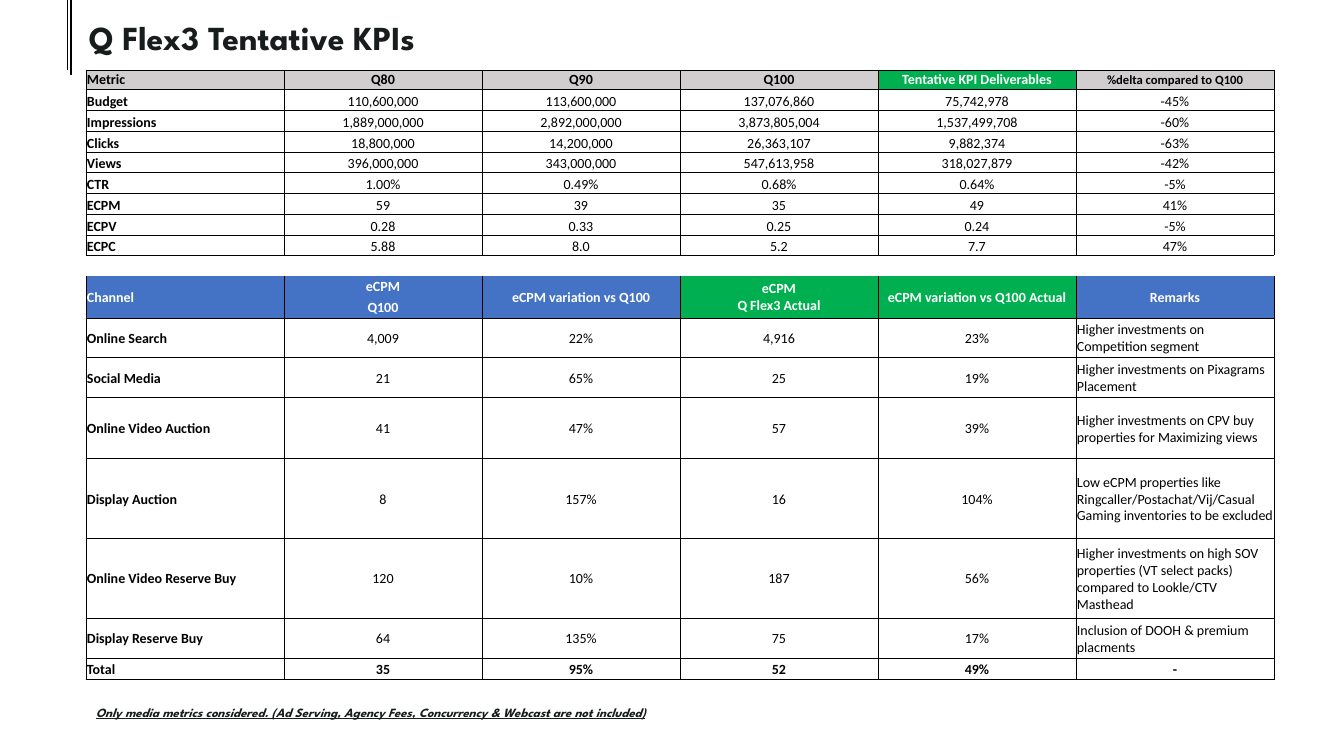
import pptx
import pptx.util
import pptx.dml.color
import pptx.enum.shapes
import pptx.enum.text
import pptx.oxml.ns
from lxml import etree

PX = 914400 / 100.8
BLACK = pptx.dml.color.RGBColor(0x00, 0x00, 0x00)
WHITE = pptx.dml.color.RGBColor(0xFF, 0xFF, 0xFF)
INK = pptx.dml.color.RGBColor(0x19, 0x1C, 0x1C)
GREY = pptx.dml.color.RGBColor(0xD0, 0xCE, 0xCE)
GREEN = pptx.dml.color.RGBColor(0x00, 0xB0, 0x50)
BLUE = pptx.dml.color.RGBColor(0x44, 0x72, 0xC4)

KPI_ROWS = [
    ["Metric", "Q80", "Q90", "Q100", "Tentative KPI Deliverables", "%delta compared to Q100"],
    ["Budget", "110,600,000", "113,600,000", "137,076,860", "75,742,978", "-45%"],
    ["Impressions", "1,889,000,000", "2,892,000,000", "3,873,805,004", "1,537,499,708", "-60%"],
    ["Clicks", "18,800,000", "14,200,000", "26,363,107", "9,882,374", "-63%"],
    ["Views", "396,000,000", "343,000,000", "547,613,958", "318,027,879", "-42%"],
    ["CTR", "1.00%", "0.49%", "0.68%", "0.64%", "-5%"],
    ["ECPM", "59", "39", "35", "49", "41%"],
    ["ECPV", "0.28", "0.33", "0.25", "0.24", "-5%"],
    ["ECPC", "5.88", "8.0", "5.2", "7.7", "47%"],
]
CHANNEL_ROWS = [
    ["Channel", "eCPM", "eCPM variation vs Q100", "eCPM\nQ Flex3 Actual",
     "eCPM variation vs Q100 Actual", "Remarks"],
    ["", "Q100", "", "", "", ""],
    ["Online Search", "4,009", "22%", "4,916", "23%",
     "Higher investments on Competition segment"],
    ["Social Media", "21", "65%", "25", "19%",
     "Higher investments on Pixagrams Placement"],
    ["Online Video Auction", "41", "47%", "57", "39%",
     "Higher investments on CPV buy properties for Maximizing views"],
    ["Display Auction", "8", "157%", "16", "104%",
     "Low eCPM properties like Ringcaller/Postachat/Vij/Casual "
     "Gaming inventories to be excluded"],
    ["Online Video Reserve Buy", "120", "10%", "187", "56%",
     "Higher investments on high SOV properties (VT select packs) "
     "compared to Lookle/CTV Masthead"],
    ["Display Reserve Buy", "64", "135%", "75", "17%",
     "Inclusion of DOOH & premium placments"],
    ["Total", "35", "95%", "52", "49%", "-"],
]
rows = KPI_ROWS + [[""] * 6] + CHANNEL_ROWS
SPACER = len(KPI_ROWS)
HEADER = SPACER + 1
TOTAL = len(rows) - 1
ROW_HEIGHTS = [19, 21, 21, 21, 20, 21, 21, 21, 20, 21, 21, 21, 40, 40, 61, 80, 80, 40, 21]
COLUMN_WIDTH = 198


def px(value):
    return pptx.util.Emu(round(value * PX))


def write(paragraph, text, font_name, size, color, bold):
    for index, line in enumerate(text.split("\n")):
        if index:
            paragraph.add_line_break()
        run = paragraph.add_run()
        run.text = line
        run.font.name = font_name
        run.font.size = pptx.util.Pt(size)
        run.font.color.rgb = color
        run.font.bold = bold


presentation = pptx.Presentation()
presentation.slide_width = px(1344)
presentation.slide_height = px(756)
slide = presentation.slides.add_slide(presentation.slide_layouts[6])

# Title and footnote
for text, left, top, width, height, size in [
    ("Q Flex3 Tentative KPIs", 79, 12, 1206, 138, 24),
    ("Only media metrics considered. (Ad Serving, Agency Fees, "
     "Concurrency & Webcast are not included)", 86, 700, 1188, 25, 9),
]:
    text_box = slide.shapes.add_textbox(px(left), px(top), px(width), px(height))
    text_box.text_frame.word_wrap = True
    paragraph = text_box.text_frame.paragraphs[0]
    write(paragraph, text, "League Spartan", size, INK, True)
footnote_font = paragraph.runs[0].font
footnote_font.italic = True
footnote_font.underline = True

# Double rule beside the title
for x, bottom, weight in [(71, 75, 1.5), (67, 70, 0.5)]:
    rule = slide.shapes.add_connector(
        pptx.enum.shapes.MSO_CONNECTOR.STRAIGHT, px(x), 0, px(x), px(bottom))
    rule.line.color.rgb = BLACK
    rule.line.width = pptx.util.Pt(weight)
    etree.SubElement(rule._element.spPr, pptx.oxml.ns.qn("a:effectLst"))

# KPI and channel table
table = slide.shapes.add_table(
    len(rows), 6, px(86), px(70), px(6 * COLUMN_WIDTH), px(sum(ROW_HEIGHTS))).table
table.first_row = False
table.horz_banding = False
for column in table.columns:
    column.width = px(COLUMN_WIDTH)
for row, height in zip(table.rows, ROW_HEIGHTS):
    row.height = px(height)

for r, values in enumerate(rows):
    for c, text in enumerate(values):
        cell = table.cell(r, c)
        cell.margin_left = cell.margin_right = cell.margin_top = px(1)
        cell.margin_bottom = 0
        channel_header = r in (HEADER, HEADER + 1)

        # Borders
        sides = {SPACER: "T", HEADER: "LR" if c == 1 else "LRB", HEADER + 1: "LRB"}.get(r, "LRTB")
        properties = cell._tc.get_or_add_tcPr()
        for side in "LRTB":
            border = etree.SubElement(properties, pptx.oxml.ns.qn("a:ln" + side), w="6350")
            if side in sides:
                fill = etree.SubElement(border, pptx.oxml.ns.qn("a:solidFill"))
                etree.SubElement(fill, pptx.oxml.ns.qn("a:srgbClr"), val=str(BLACK))
            else:
                etree.SubElement(border, pptx.oxml.ns.qn("a:noFill"))

        # Fill
        if r == 0 or channel_header:
            cell.fill.solid()
            if r == 0:
                cell.fill.fore_color.rgb = GREEN if c == 4 else GREY
            else:
                cell.fill.fore_color.rgb = GREEN if c in (3, 4) else BLUE
        else:
            cell.fill.background()

        # Text
        anchors = pptx.enum.text.MSO_ANCHOR
        cell.vertical_anchor = anchors.BOTTOM if 0 < r < SPACER else anchors.MIDDLE
        paragraph = cell.text_frame.paragraphs[0]
        remark = c == 5 and HEADER + 1 < r < TOTAL
        if c and not remark:
            paragraph.alignment = pptx.enum.text.PP_ALIGN.CENTER
        if text:
            white_text = channel_header or (r, c) == (0, 4)
            write(paragraph, text, "Calibri", 9 if (r, c) == (0, 5) else 10,
                  WHITE if white_text else BLACK,
                  c == 0 or r in (0, TOTAL) or channel_header)
        else:
            etree.SubElement(paragraph._p, pptx.oxml.ns.qn("a:endParaRPr"), sz="1000")

# Channel headings spanning two rows
for c in (0, 2, 3, 4, 5):
    table.cell(HEADER, c).merge(table.cell(HEADER + 1, c))

presentation.save("out.pptx")
